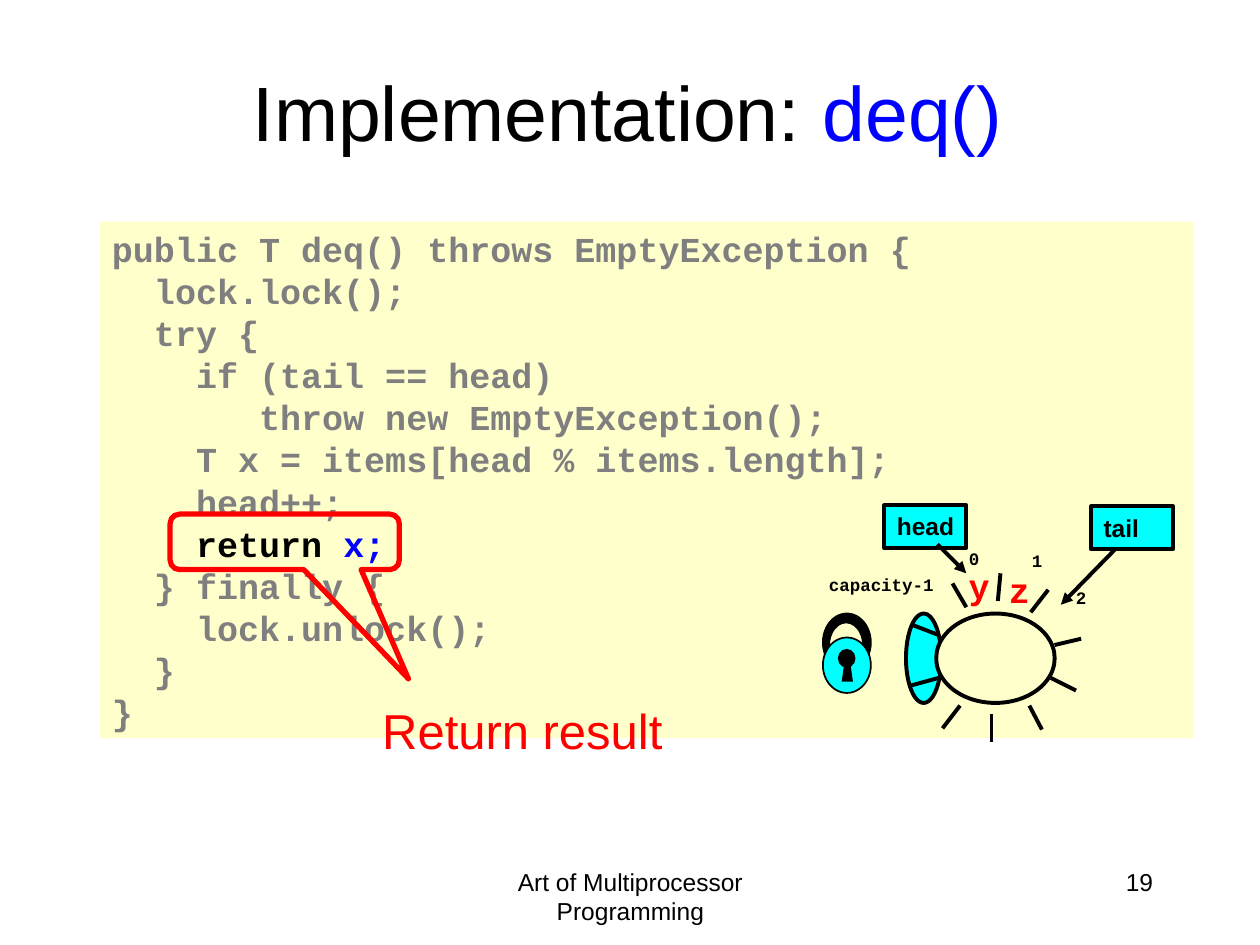
from dataclasses import dataclass
from lxml.etree import SubElement
from pptx import Presentation
from pptx.dml.color import RGBColor as RGB
from pptx.enum.shapes import MSO_CONNECTOR as Conn, MSO_SHAPE as Kind
from pptx.enum.text import MSO_ANCHOR as Anchor, PP_ALIGN as Align
from pptx.oxml.ns import qn
from pptx.util import Pt


@dataclass(frozen=True)
class Theme:
    black: str = "000000"
    gray: str = "7F7F7F"
    blue: str = "0000FF"
    red: str = "FF0000"
    cyan: str = "00FFFF"
    cream: str = "FFFFCC"
    sans: str = "Arial"
    mono: str = "Courier New"
    title: int = 44
    note: int = 28
    code: int = 20
    small: int = 14
    tiny: int = 10
    line: float = 2.25
    thin: float = 1
    bold: float = 3


class Deck:
    def __init__(self, theme):
        self.theme = theme
        self.prs = Presentation()
        self.prs.slide_width, self.prs.slide_height = Pt(720), Pt(540)
        self.slide = self.prs.slides.add_slide(self.prs.slide_layouts[6])
        self.shapes = self.slide.shapes

    def paint(self, shape, fill=None, line=None, width=1):
        shape.shadow.inherit = False
        if fill:
            shape.fill.solid()
            shape.fill.fore_color.rgb = RGB.from_string(fill)
        else:
            shape.fill.background()
        if line:
            shape.line.color.rgb = RGB.from_string(line)
            shape.line.width = Pt(width)
        else:
            shape.line.fill.background()
        return shape

    def shape(self, kind, box, fill=None, line=None, width=1):
        item = self.shapes.add_shape(kind, *map(Pt, box))
        return self.paint(item, fill, line, width)

    def label(self, shape, rows, size, font, bold=False, align=Align.LEFT,
              anchor=Anchor.TOP, wrap=True):
        """Each row is a list of (text, color) pairs."""
        frame = shape.text_frame
        frame.word_wrap, frame.vertical_anchor = wrap, anchor
        for i, row in enumerate(rows):
            para = frame.add_paragraph() if i else frame.paragraphs[0]
            para.alignment = align
            for words, color in row:
                run = para.add_run()
                run.text = words
                run.font.size, run.font.name = Pt(size), font
                run.font.bold = bold
                run.font.color.rgb = RGB.from_string(color)

    def text(self, box, rows, size, font, **style):
        item = self.shapes.add_textbox(*map(Pt, box))
        self.label(item, rows, size, font, **style)

    def line(self, x1, y1, x2, y2, arrow=False):
        item = self.shapes.add_connector(
            Conn.STRAIGHT, *map(Pt, (x1, y1, x2, y2)))
        item.line.color.rgb = RGB.from_string(self.theme.black)
        item.line.width = Pt(self.theme.line)
        props = item._element.spPr
        if arrow:
            SubElement(props.find(qn("a:ln")), qn("a:tailEnd"),
                       type="triangle")
        SubElement(props, qn("a:effectLst"))

    def poly(self, points, fill):
        start, *rest = [(Pt(x), Pt(y)) for x, y in points]
        pen = self.shapes.build_freeform(*start)
        pen.add_line_segments(rest, close=True)
        self.paint(pen.convert_to_shape(), fill)


CODE = """public T deq() throws EmptyException {
  lock.lock();
  try {
    if (tail == head)
       throw new EmptyException();
    T x = items[head % items.length];
    head++;
    return x;
  } finally {
    lock.unlock();
  }
}"""

SPOKES = [
    (538.6, 416.2, 548.6, 403.2), (589, 349.9, 599, 337),
    (602.6, 368.6, 617.8, 365), (520.6, 391.7, 536.4, 387.4),
    (521.3, 357.1, 536.4, 362.9), (600.5, 387.4, 614.9, 394.6),
    (544.3, 333.4, 552.2, 347), (571.7, 327.6, 570.2, 343.4),
    (588.2, 403.2, 595.4, 416.9), (566.6, 408.2, 566.6, 424.1),
]


def main():
    t = Theme()
    deck = Deck(t)

    # Code panel, with the return line picked out
    rows = [[(row, t.gray)] for row in CODE.split("\n")]
    rows[7] = [("    return ", t.black), ("x;", t.blue)]
    panel = deck.shape(Kind.RECTANGLE, (56.9, 126.7, 625, 295.2), t.cream)
    deck.label(panel, rows, t.code, t.mono, bold=True)

    # Footer and title
    deck.text((246.2, 491.8, 228.2, 36),
              [[("Art of Multiprocessor Programming", t.black)]],
              t.small, t.sans, align=Align.CENTER)
    deck.text((516.2, 491.8, 149.8, 36), [[("19", t.black)]],
              t.small, t.sans, align=Align.RIGHT)
    deck.text((52.6, 18, 612, 90),
              [[("Implementation: ", t.black), ("deq()", t.blue)]],
              t.title, t.sans, align=Align.CENTER, anchor=Anchor.MIDDLE)

    # Callout and its note
    call = deck.shape(Kind.ROUNDED_RECTANGULAR_CALLOUT,
                      (97.2, 293.8, 131, 31.7), None, t.red, t.bold)
    for i, value in enumerate((0.54, 2.47, 0.17)):
        call.adjustments[i] = value
    deck.text((118.1, 396.7, 360.7, 41), [[("Return result", t.red)]],
              t.note, t.sans, align=Align.CENTER)

    # Ring buffer
    for left, width, fill in ((517.7, 20.2, t.cyan), (535, 67.7, t.cream)):
        deck.shape(Kind.OVAL, (left, 350.6, width, 51.1),
                   fill, t.black, t.line)
    for spoke in SPOKES:
        deck.line(*spoke)

    # Slot numbers
    for name, x, y, width in (("0", 546.5, 309.6, 20.2),
                              ("1", 582.5, 311, 20.2),
                              ("capacity-1", 466.6, 324.7, 74.2),
                              ("2", 607.7, 331.9, 20.2)):
        deck.text((x, y, width, 19.4), [[(name, t.black)]],
                  t.tiny, t.mono, bold=True, wrap=False)

    # Head and tail pointers
    for name, x, y, wrap, arrow in (
            ("head", 505.4, 288.7, False, (535.7, 311, 552.2, 327.6)),
            ("tail", 623.5, 289.4, True, (637.9, 313.2, 606.2, 345.6))):
        box = deck.shape(Kind.RECTANGLE, (x, y, 46.8, 24.5),
                         t.cyan, t.black, t.line)
        deck.label(box, [[(name, t.black)]], t.small, t.sans,
                   bold=True, wrap=wrap)
        deck.line(*arrow, arrow=True)

    # Queued items
    for name, x, y in (("y", 546.5, 319), ("z", 569.5, 321.1)):
        deck.text((x, y, 25.9, 31.7), [[(name, t.red)]],
                  t.code, t.mono, bold=True, wrap=False)

    # Padlock: shackle, body, keyhole
    for box, fill in (((470.2, 350.6, 27.4, 33.1), t.black),
                      ((473.8, 355.7, 19.4, 25.9), t.cream),
                      ((470.2, 364.3, 27.4, 31.7), t.cyan)):
        deck.shape(Kind.OVAL, box, fill, t.black, t.thin)
    deck.shape(Kind.OVAL, (478.8, 370.8, 10.1, 10.8), t.black)
    deck.poly([(481, 389.5), (482.4, 379.4), (486, 379.4), (487.4, 389.5)],
              t.black)

    deck.prs.save("out.pptx")


if __name__ == "__main__":
    main()
